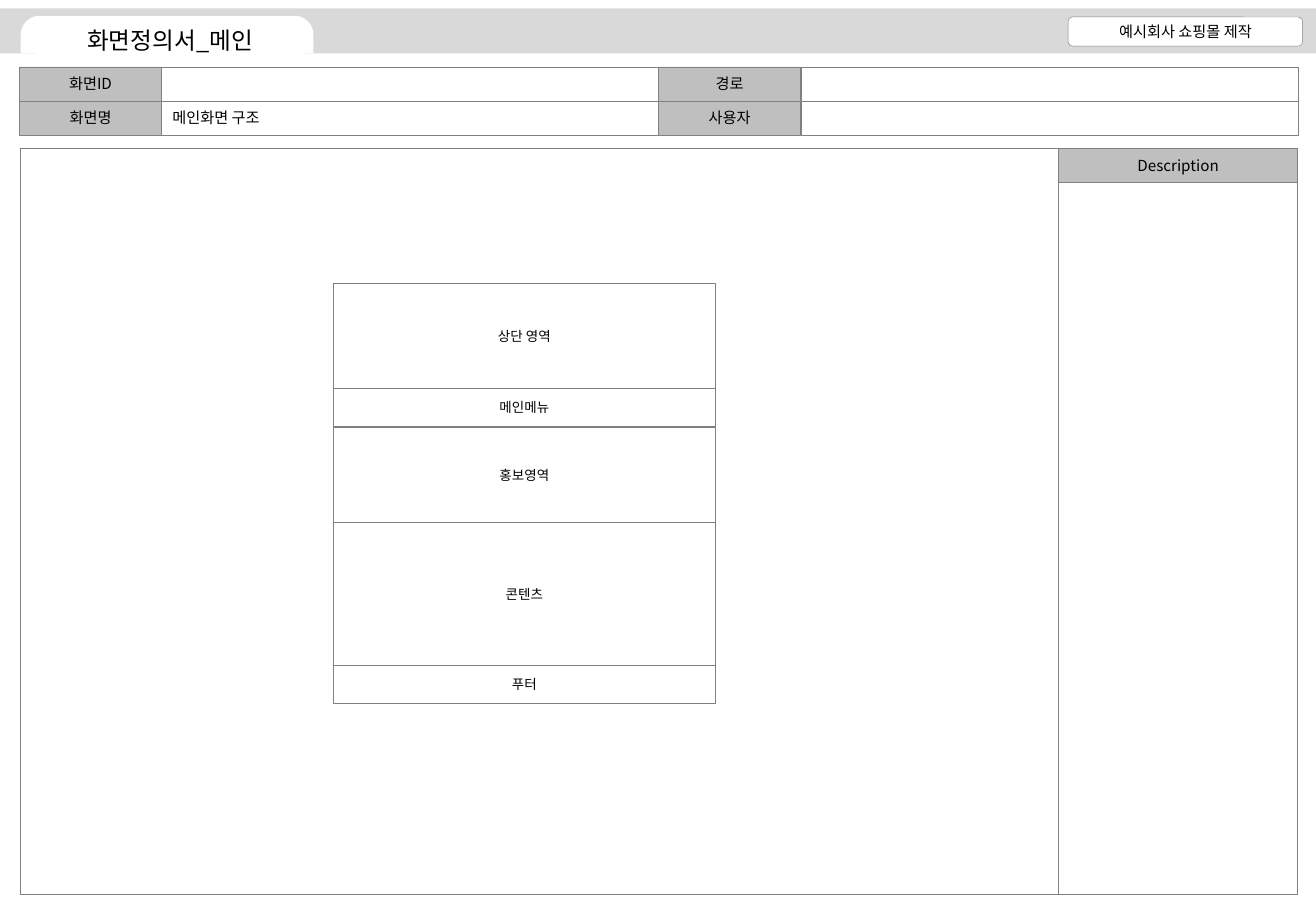
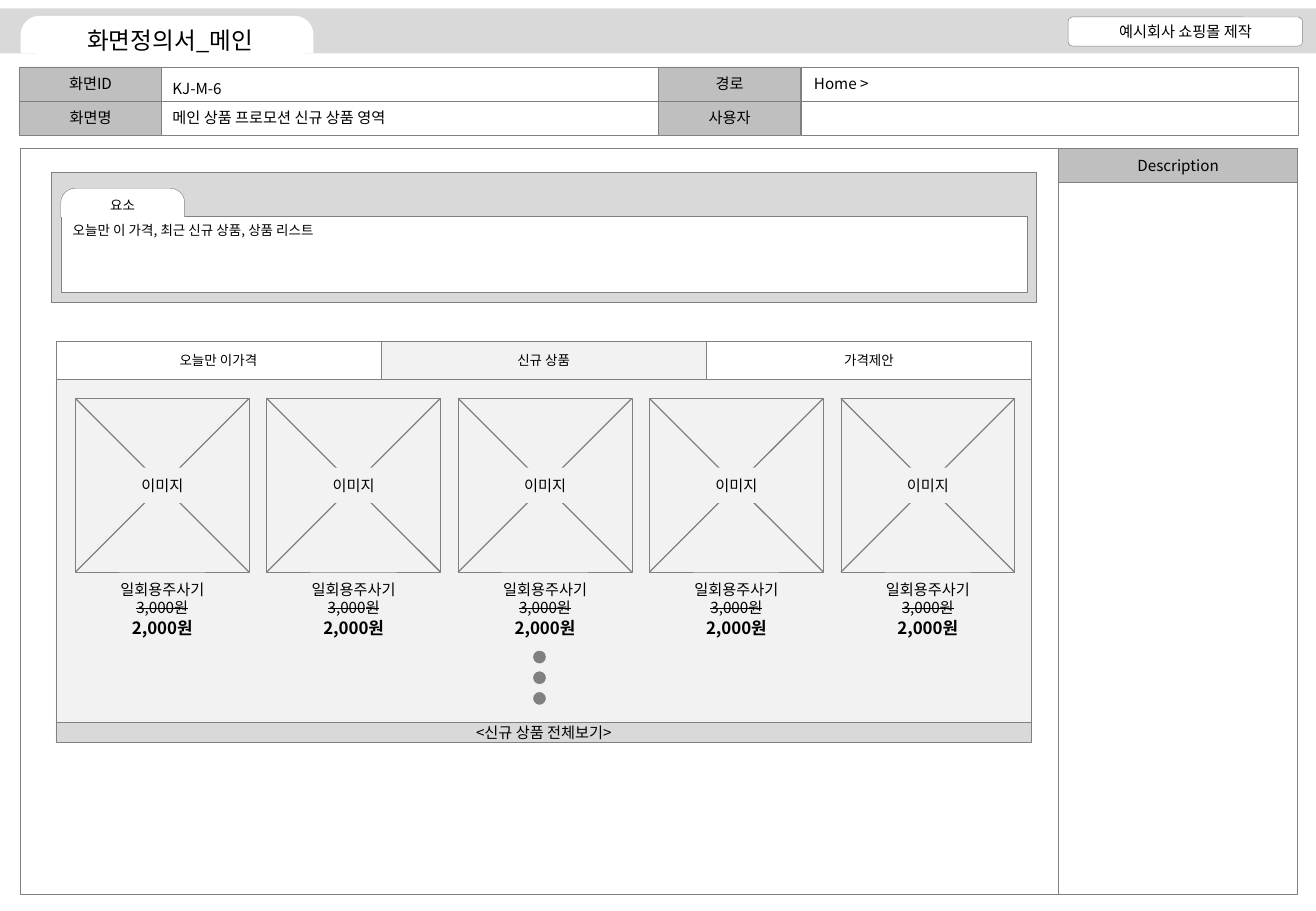
from dataclasses import dataclass
from lxml.etree import SubElement
from pptx import Presentation
from pptx.dml.color import RGBColor
from pptx.enum.shapes import MSO_CONNECTOR, MSO_SHAPE
from pptx.enum.text import MSO_ANCHOR, MSO_AUTO_SIZE, PP_ALIGN
from pptx.oxml.ns import qn
from pptx.util import Inches, Pt


@dataclass(frozen=True)
class Theme:
    font: str = "Noto Sans CJK KR"
    ink: str = "000000"
    white: str = "FFFFFF"
    pale: str = "F2F2F2"
    band: str = "D9D9D9"
    head: str = "BFBFBF"
    edge: str = "808080"
    title: int = 14
    price: int = 10
    body: int = 9
    small: int = 8
    thin: float = 0.25
    cross: float = 0.75


T = Theme()
RECT, ROUND = MSO_SHAPE.RECTANGLE, MSO_SHAPE.ROUNDED_RECTANGLE
TAB, DOT = MSO_SHAPE.ROUND_2_SAME_RECTANGLE, MSO_SHAPE.OVAL


def color(text):
    return RGBColor.from_string(text)


def write(shape, text, size=T.body, bold=False, strike=False, **form):
    """Fill a shape with one line of text, centred unless form says otherwise."""
    frame = shape.text_frame
    look = dict(word_wrap=True, auto_size=MSO_AUTO_SIZE.NONE,
                vertical_anchor=MSO_ANCHOR.MIDDLE, margin_left=0,
                margin_right=0, margin_top=0, margin_bottom=0)
    align = form.pop("align", PP_ALIGN.CENTER)
    for name, value in (look | form).items():
        setattr(frame, name, value)
    para = frame.paragraphs[0]
    para.alignment = align
    run = para.add_run()
    run.text = text
    for name, value in dict(name=T.font, size=Pt(size), bold=bold).items():
        setattr(run.font, name, value)
    run.font.color.rgb = color(T.ink)
    for prop in shape.element.iter(qn("a:rPr")):
        SubElement(prop, qn("a:ea"), typeface=T.font)
        if strike:
            prop.set("strike", "sngStrike")


def paint(shape, fill=None, line=None):
    if fill:
        shape.fill.solid()
        shape.fill.fore_color.rgb = color(fill)
    else:
        shape.fill.background()
    if line:
        shape.line.color.rgb = color(line)
        shape.line.width = Pt(T.thin)
    else:
        shape.line.fill.background()


def draw(shapes, box, text="", fill=None, line=T.edge, kind=RECT, **form):
    shape = shapes.add_shape(kind, *map(Inches, box))
    shape.shadow.inherit = False
    paint(shape, fill, line)
    if kind == TAB:
        shape.adjustments[0], shape.adjustments[1] = 0.5, 0
    if text:
        write(shape, text, **form)


def label(shapes, box, text, **form):
    write(shapes.add_textbox(*map(Inches, box)), text, **form)


def rule(shapes, start, end, ink=T.edge):
    line = shapes.add_connector(MSO_CONNECTOR.STRAIGHT,
                                *map(Inches, start + end))
    line.line.color.rgb = color(ink)
    line.line.width = Pt(T.cross)
    SubElement(line.element.spPr, qn("a:effectLst"))


INSET = dict(align=PP_ALIGN.LEFT, vertical_anchor=MSO_ANCHOR.TOP,
             margin_left=Inches(0.1), margin_right=Inches(0.1),
             margin_top=Inches(0.05), margin_bottom=Inches(0.05))
NOTE = INSET | dict(word_wrap=False, auto_size=MSO_AUTO_SIZE.SHAPE_TO_FIT_TEXT)


# Shared parts: info grid, main area, description, top band
def grid(shapes, box):
    left, top, key, value, high = box
    for row, names in enumerate((("화면ID", "경로"), ("화면명", "사용자"))):
        for col, name in enumerate(names):
            x, y = left + col * (key + value), top + row * high
            draw(shapes, (x, y, key, high), name, T.head)
            draw(shapes, (x + key, y, value, high))


def area(shapes, box):
    left, top, width, high = box
    side, head = 1.97, 0.28
    x = left + width - side
    draw(shapes, (left, top, width - side, high))
    draw(shapes, (x, top, side, head), "Description", T.head)
    draw(shapes, (x, top + head, side, high - head))


def band(shapes, box):
    left, top, width, high = box
    draw(shapes, box, fill=T.band, line=None)
    draw(shapes, (left + 0.17, top + 0.06, 2.41, high - 0.06),
         fill=T.white, line=None, kind=TAB)
    draw(shapes, (left + width - 2.04, top + 0.07, 1.93, 0.24),
         "예시회사 쇼핑몰 제작", T.white, kind=ROUND)


def share(slide, layout):
    """Draw the shared parts once and hand them to the layout."""
    for part in list(layout.placeholders)[1:]:
        layout.shapes.element.remove(part.element)
    grid(slide.shapes, (0.16, 0.55, 1.17, 4.09, 0.28))
    area(slide.shapes, (0.17, 1.22, 10.51, 6.14))
    band(slide.shapes, (0, 0.07, 10.83, 0.37))
    for shape in list(slide.shapes):
        if not shape.is_placeholder:
            layout.shapes.element.append(shape.element)


def head(slide, notes):
    """Set the title and the values of the info grid."""
    title = slide.shapes.title
    names = ("left", "top", "width", "height")
    for name, value in zip(names, (0.3, 0.21, 2.2, 0.24)):
        setattr(title, name, Inches(value))
    paint(title, T.white)
    write(title, "화면정의서_메인", T.title)
    for box, text in notes:
        label(slide.shapes, box, text, **NOTE)


# Page structure
def stack(shapes, box, rows):
    left, top, width = box
    for name, high in rows:
        draw(shapes, (left, top, width, high), name, size=T.small)
        top += high


# Element list
def parts(shapes, box):
    left, top, width, high = box
    x, y, tab = left + 0.08, top + 0.36, 1.02
    draw(shapes, box, fill=T.band)
    draw(shapes, (x, y, width - 0.16, high - 0.44),
         "오늘만 이 가격, 최근 신규 상품, 상품 리스트", T.white,
         size=T.small, **INSET)
    draw(shapes, (x, y - 0.23, tab, 0.24), "요소", T.white,
         kind=TAB, size=T.small)
    rule(shapes, (x + tab, y + 0.01), (x + 0.01, y + 0.01), T.white)


# Product card
def card(shapes, left, top, side):
    group = shapes.add_group_shape().shapes
    right, low = left + side, top + side
    wide, high = 0.58, 0.29
    draw(group, (left, top, side, side), fill=T.pale)
    rule(group, (left, top), (right, low))
    rule(group, (right, top), (left, low))
    draw(group, (left + (side - wide) / 2, top + (side - high) / 2, wide, high),
         "이미지", T.pale, line=None)
    for gap, text, form in ((0.07, "일회용주사기", {}),
                            (0.22, "3,000원", dict(strike=True)),
                            (0.39, "2,000원", dict(size=T.price, bold=True))):
        label(group, (left, low + gap, side, 0.14), text, **form)


# Tabbed product list
def goods(shapes, box):
    left, top, width, high = box
    tab, foot, side, count = 0.31, 0.16, 1.43, 5
    draw(shapes, (left, top + tab, width, high - tab - foot), fill=T.pale)
    names = ("오늘만 이가격", "신규 상품", "가격제안")
    for i, name in enumerate(names):
        wide = width / len(names)
        draw(shapes, (left + i * wide, top, wide, tab), name,
             T.pale if i == 1 else T.white, size=T.small)
    step = (width - 0.3 - side) / (count - 1)
    for i in range(count):
        card(shapes, left + 0.16 + i * step, top + 0.47, side)
    for i in range(3):
        draw(shapes, (left + 3.93, top + 2.55 + i * 0.17, 0.1, 0.1),
             fill=T.edge, kind=DOT)
    draw(shapes, (left, top + high - foot, width, foot),
         "<신규 상품 전체보기>", T.band)


deck = Presentation()
deck.slide_width, deck.slide_height = Inches(10.83), Inches(7.5)
layout = deck.slide_layouts[5]

# Slide 1: structure of the main screen
first = deck.slides.add_slide(layout)
share(first, layout)
head(first, [((1.32, 0.84, 1, 0.25), "메인화면 구조")])
stack(first.shapes, (2.74, 2.33, 3.15), (("상단 영역", 0.87), ("메인메뉴", 0.31)))
stack(first.shapes, (2.74, 3.52, 3.15),
      (("홍보영역", 0.78), ("콘텐츠", 1.18), ("푸터", 0.31)))

# Slide 2: new products on the main screen
second = deck.slides.add_slide(layout)
head(second, [((1.32, 0.84, 2.19, 0.25), "메인 상품 프로모션 신규 상품 영역"),
              ((6.6, 0.56, 0.72, 0.25), "Home >"),
              ((1.32, 0.6, 0.61, 0.25), "KJ-M-6")])
parts(second.shapes, (0.42, 1.42, 8.11, 1.07))
goods(second.shapes, (0.46, 2.81, 8.03, 3.3))

deck.save("out.pptx")
